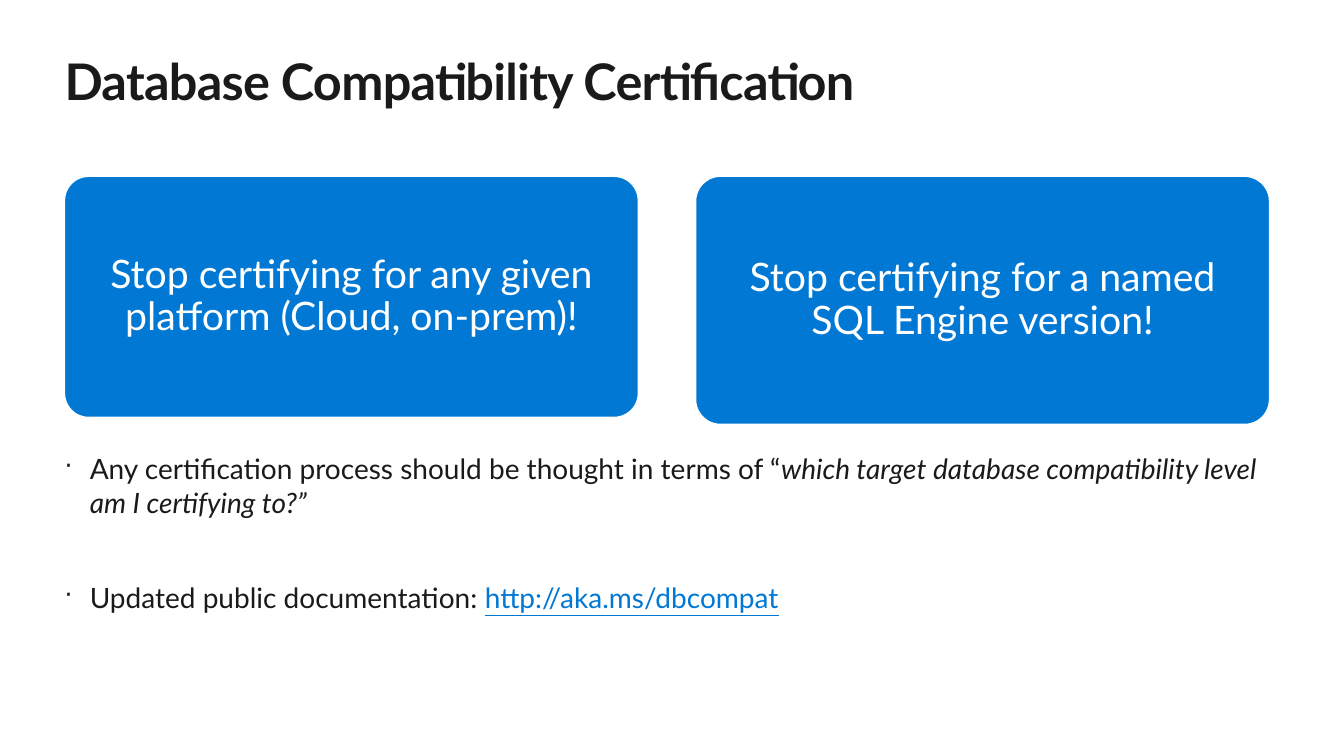
from lxml import etree
from pptx import Presentation
from pptx import util as u
from pptx.dml.color import RGBColor
from pptx.enum import shapes, text
from pptx.oxml.ns import qn

INK, BLUE, WHITE = "1A1A1A", "0078D4", "FFFFFF"


def rgb(code):
    return RGBColor.from_string(code)


class Deck:
    """Holds the style and the current slide, and adds each kind of element."""

    font = "Lato"
    scale = 9144

    def __init__(self, wide, high):
        self.prs = Presentation()
        self.prs.slide_width, self.prs.slide_height = self.px(wide, high)
        self.slide = self.prs.slides.add_slide(self.prs.slide_layouts[5])

    def px(self, *sizes):
        return [u.Emu(size * self.scale) for size in sizes]

    def style(self, para, size, color, bold=False):
        font = para.font
        font.name, font.size, font.bold = self.font, u.Pt(size), bold
        font.color.rgb = rgb(color)

    def frame(self, shape, anchor, side=0, edge=0):
        frame = shape.text_frame
        frame.word_wrap = True
        frame.auto_size = text.MSO_AUTO_SIZE.NONE
        frame.vertical_anchor = anchor
        frame.margin_left, frame.margin_right = self.px(side, side)
        frame.margin_top, frame.margin_bottom = self.px(edge, edge)
        return frame

    def title(self, words, *box):
        shape = self.slide.shapes.title
        shape.left, shape.top, shape.width, shape.height = self.px(*box)
        para = self.frame(shape, text.MSO_ANCHOR.TOP).paragraphs[0]
        para.alignment = text.PP_ALIGN.LEFT
        self.style(para, 36, INK, True)
        run = para.add_run()
        run.text = words
        run._r.get_or_add_rPr().set("spc", "-50")

    def card(self, words, *box):
        kind = shapes.MSO_SHAPE.ROUNDED_RECTANGLE
        shape = self.slide.shapes.add_shape(kind, *self.px(*box))
        shape.adjustments[0] = 0.1
        shape.shadow.inherit = False
        shape.fill.solid()
        shape.fill.fore_color.rgb = rgb(BLUE)
        shape.line.color.rgb = rgb(WHITE)
        shape.line.width = u.Pt(0.85)
        para = self.frame(shape, text.MSO_ANCHOR.MIDDLE, 6, 4).paragraphs[0]
        para.text = words
        para.alignment = text.PP_ALIGN.CENTER
        para.line_spacing = 0.9
        self.style(para, 28, WHITE)

    def bullets(self, items, gap, *box):
        shape = self.slide.shapes.add_textbox(*self.px(*box))
        frame = self.frame(shape, text.MSO_ANCHOR.TOP)
        for i, (lead, tail, look) in enumerate(items):
            para = frame.add_paragraph() if i else frame.paragraphs[0]
            props = para._p.get_or_add_pPr()
            indent = self.px(25)[0]
            props.set("marL", str(indent))
            props.set("indent", str(-indent))
            etree.SubElement(props, qn("a:buSzPct")).set("val", "90000")
            etree.SubElement(props, qn("a:buChar")).set("char", "·")
            if i:
                para.space_before = u.Pt(gap)
            self.style(para, 20, INK)
            para.add_run().text = lead
            run = para.add_run()
            run.text = tail
            if look == "link":
                run.font.underline = True
                run.font.color.rgb = rgb(BLUE)
            else:
                run.font.italic = True


def main():
    deck = Deck(1333, 750)
    deck.title("Database Compatibility Certification", 64, 50, 1205, 61)
    deck.card("Stop certifying for any given platform (Cloud, on-prem)!",
              64, 175, 569, 239)
    deck.card("Stop certifying for a named SQL Engine version!",
              690, 175, 569, 246)
    deck.bullets([
        ("Any certification process should be thought in terms of “",
         "which target database compatibility level am I certifying to?”",
         "quote"),
        ("Updated public documentation: ", "http://aka.ms/dbcompat", "link"),
    ], 44, 64, 448, 1205, 252)
    deck.prs.save("out.pptx")


if __name__ == "__main__":
    main()
